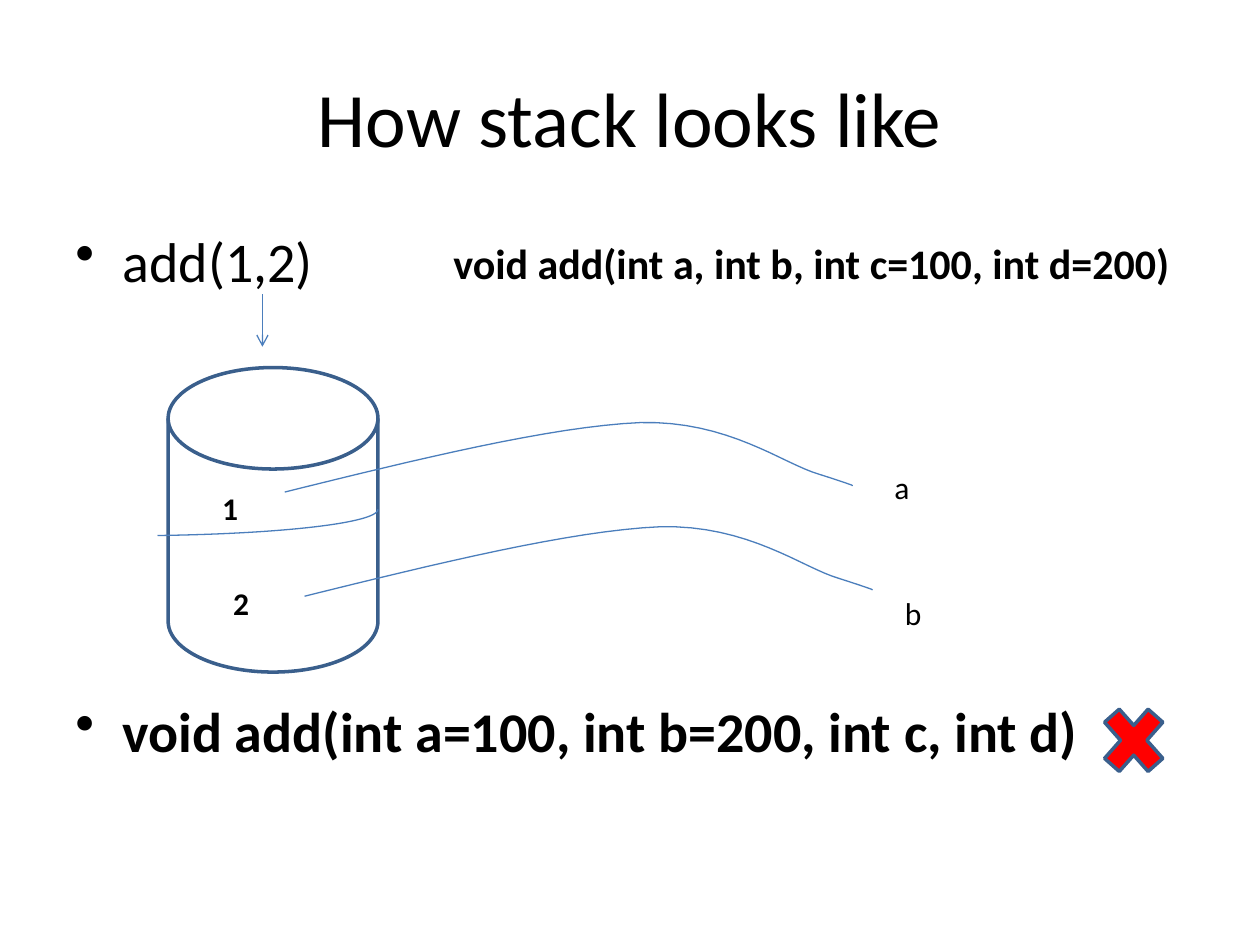
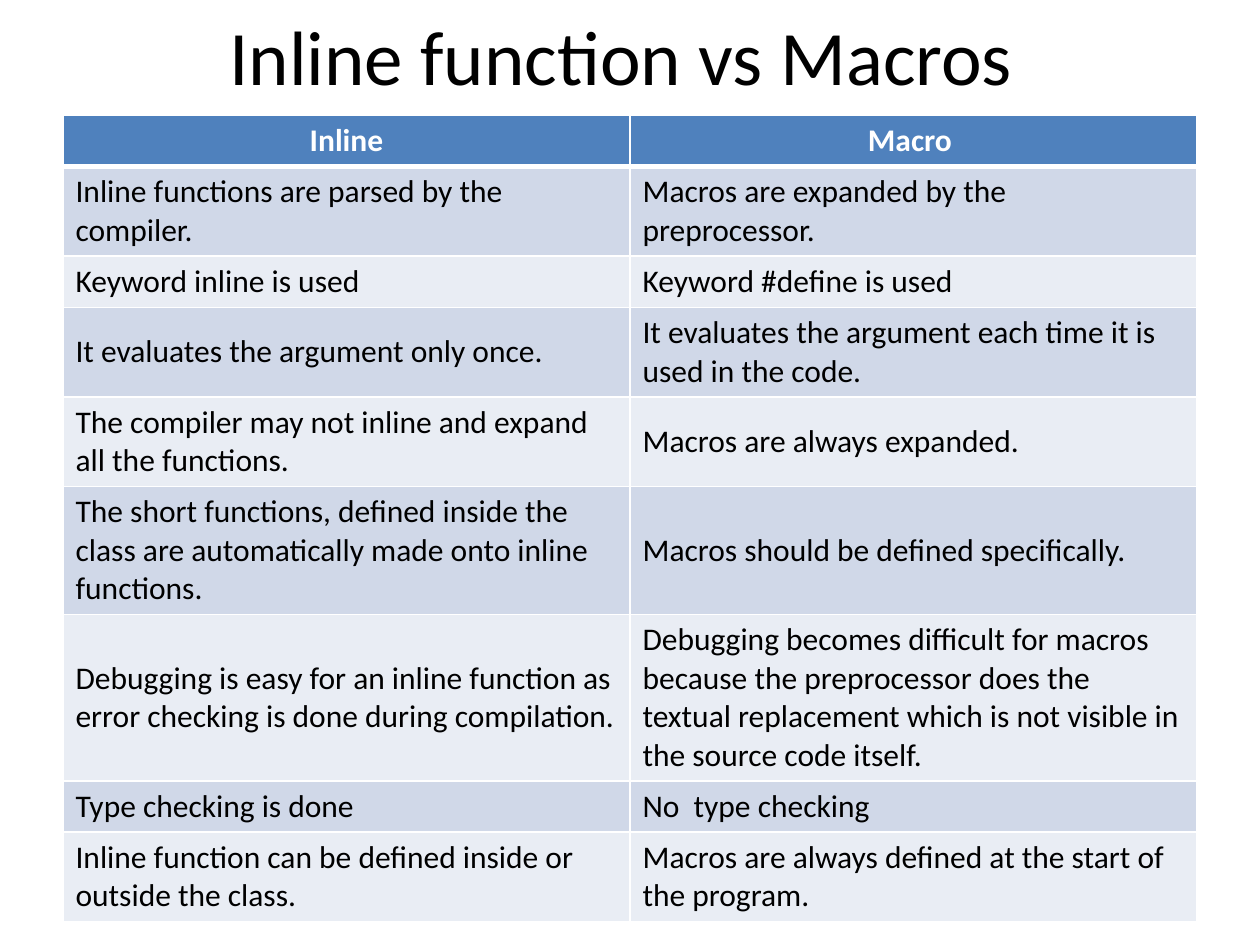
from typing import NamedTuple

from lxml.etree import SubElement
from pptx import Presentation
from pptx.dml.color import RGBColor
from pptx.enum.shapes import MSO_CONNECTOR as Connector, MSO_SHAPE as Preset
from pptx.enum.text import MSO_ANCHOR as Anchor, MSO_AUTO_SIZE as AutoSize, PP_ALIGN as Align
from pptx.oxml.ns import qn
from pptx.util import Cm, Pt

# Shared look
FONT = "Calibri"
BLACK = RGBColor(0x00, 0x00, 0x00)
WHITE = RGBColor(0xFF, 0xFF, 0xFF)
RED = RGBColor(0xFF, 0x00, 0x00)
OUTLINE_BLUE = RGBColor(0x3A, 0x5F, 0x8C)
THIN_BLUE = RGBColor(0x4B, 0x7E, 0xBC)
HEADER_BLUE = RGBColor(0x4F, 0x81, 0xBD)
BAND_COLORS = (RGBColor(0xD0, 0xD8, 0xE8), RGBColor(0xE9, 0xED, 0xF4))
TITLE_ONLY_LAYOUT = 5
THIN, THICK = 0.75, 2


class Box(NamedTuple):
    """Left, top, width and height in centimetres."""
    left: float
    top: float
    width: float
    height: float

    def lengths(self) -> list:
        return [Cm(value) for value in self]


class Label(NamedTuple):
    text: str
    box: Box
    size: int = 18
    bold: bool = False


class Figure(NamedTuple):
    preset: Preset
    box: Box
    line_color: RGBColor
    line_width: float
    fill: RGBColor | None = None
    adjustments: tuple = ()


# Stack slide content
LABELS = (
    Label("1", Box(4.23, 9.74, 1.7, 1.02), bold=True),
    Label("2", Box(4.45, 11.64, 1.9, 1.07), bold=True),
    Label("void add(int a, int b, int c=100, int d=200)",
          Box(8.89, 4.66, 15.88, 1.27), size=24, bold=True),
    Label("a", Box(17.78, 9.31, 6.77, 1.02)),
    Label("b", Box(17.99, 11.85, 1.7, 1.02)),
)
FIGURES = (
    Figure(Preset.FLOWCHART_MAGNETIC_DISK, Box(3.39, 7.41, 4.23, 6.14), OUTLINE_BLUE, THICK),
    Figure(Preset.ARC, Box(-2.54, 9.74, 10.16, 1.06), THIN_BLUE, THIN,
           adjustments=(0, 23.75)),
    Figure(Preset.MATH_MULTIPLY, Box(22.01, 13.97, 1.69, 1.91), OUTLINE_BLUE, THICK, fill=RED),
)
CURVE_STARTS = ((5.74, 9.92), (6.14, 12.02))
# Bezier segments relative to the start of a curve
CURVE_SEGMENTS = (
    ((0, 0), (2.67, -0.66), (5.36, -1.32), (7.16, -1.4)),
    ((7.16, -1.4), (8.94, -1.45), (10.06, -0.56), (10.77, -0.36)),
    ((10.77, -0.36), (11.48, -0.13), (11.46, -0.13), (11.43, -0.13)),
)
CURVE_STEPS = 16

# Comparison table content
TABLE_ROWS = (
    ("Inline", "Macro "),
    ("Inline functions are parsed by the compiler.", "Macros are expanded by the preprocessor."),
    ("Keyword inline is used", "Keyword #define is used"),
    ("It evaluates the argument only once.",
     "It evaluates the argument each time it is used in the code."),
    ("The compiler may not inline and expand all the functions.", "Macros are always expanded."),
    ("The short functions, defined inside the class are automatically made onto inline functions.",
     "Macros should be defined specifically."),
    ("Debugging is easy for an inline function as error checking is done during compilation.",
     "Debugging becomes difficult for macros because the preprocessor does the textual "
     "replacement which is not visible in the source code itself."),
    ("Type checking is done", "No  type checking"),
    ("Inline function can be defined inside or outside the class.",
     "Macros are always defined at the start of the program."),
)
MIDDLE_ROWS = range(3, 7)
TABLE_BOX = Box(1.27, 2.33, 22.86, 16.05)
ROW_HEIGHT = 1.03


def write(paragraph, text: str, *, size: float = 18, color: RGBColor = BLACK,
          bold: bool = False, align: Align = Align.LEFT, space_before: float = 0) -> None:
    paragraph.alignment = align
    paragraph.space_before = Pt(space_before)
    run = paragraph.add_run()
    run.text = text
    run.font.name = FONT
    run.font.size = Pt(size)
    run.font.bold = bold
    run.font.color.rgb = color


def add_titled_slide(presentation, title: str, box: Box):
    slide = presentation.slides.add_slide(presentation.slide_layouts[TITLE_ONLY_LAYOUT])
    placeholder = slide.shapes.title
    placeholder.left, placeholder.top, placeholder.width, placeholder.height = box.lengths()
    placeholder.text_frame.vertical_anchor = Anchor.MIDDLE
    write(placeholder.text_frame.paragraphs[0], title, size=44, align=Align.CENTER)
    return slide


def add_text_frame(slide, box: Box):
    text_frame = slide.shapes.add_textbox(*box.lengths()).text_frame
    text_frame.word_wrap = True
    return text_frame


def add_label(slide, label: Label) -> None:
    text_frame = add_text_frame(slide, label.box)
    text_frame.auto_size = AutoSize.SHAPE_TO_FIT_TEXT
    write(text_frame.paragraphs[0], label.text, size=label.size, bold=label.bold)


def set_bullet(paragraph) -> None:
    properties = paragraph._p.get_or_add_pPr()
    indent = Cm(0.95)
    properties.set("marL", str(indent))
    properties.set("indent", str(-indent))
    SubElement(properties, qn("a:buChar")).set("char", "•")


def style_line(line, color: RGBColor, width: float) -> None:
    line.color.rgb = color
    line.width = Pt(width)


def add_figure(slide, figure: Figure) -> None:
    shape = slide.shapes.add_shape(figure.preset, *figure.box.lengths())
    shape.shadow.inherit = False
    for index, value in enumerate(figure.adjustments):
        shape.adjustments[index] = value
    if figure.fill is None:
        shape.fill.background()
    else:
        shape.fill.solid()
        shape.fill.fore_color.rgb = figure.fill
    style_line(shape.line, figure.line_color, figure.line_width)


def bezier_point(segment: tuple, t: float) -> tuple:
    weights = ((1 - t) ** 3, 3 * t * (1 - t) ** 2, 3 * t ** 2 * (1 - t), t ** 3)
    return tuple(sum(weight * point[axis] for weight, point in zip(weights, segment))
                 for axis in (0, 1))


def add_curve(slide, left: float, top: float) -> None:
    points = [bezier_point(segment, step / CURVE_STEPS)
              for segment in CURVE_SEGMENTS for step in range(1, CURVE_STEPS + 1)]
    builder = slide.shapes.build_freeform(Cm(left), Cm(top))
    builder.add_line_segments([(Cm(left + x), Cm(top + y)) for x, y in points], close=False)
    shape = builder.convert_to_shape()
    shape.shadow.inherit = False
    shape.fill.background()
    style_line(shape.line, THIN_BLUE, THIN)


def add_arrow(slide, start: tuple, end: tuple) -> None:
    arrow = slide.shapes.add_connector(
        Connector.STRAIGHT, *[Cm(value) for value in start + end])
    style_line(arrow.line, THIN_BLUE, THIN)
    properties = arrow._element.spPr
    SubElement(properties.find(qn("a:ln")), qn("a:tailEnd")).set("type", "arrow")
    SubElement(properties, qn("a:effectLst"))


def set_borders(cell, top: float = 1, bottom: float = 1) -> None:
    properties = cell._tc.get_or_add_tcPr()
    for side, width in (("L", 1), ("R", 1), ("T", top), ("B", bottom)):
        line = SubElement(properties, qn(f"a:ln{side}"))
        line.set("w", str(Pt(width)))
        fill = SubElement(line, qn("a:solidFill"))
        SubElement(fill, qn("a:srgbClr")).set("val", str(WHITE))


def add_comparison_table(slide) -> None:
    frame = slide.shapes.add_table(len(TABLE_ROWS), 2, *TABLE_BOX.lengths())
    for row_index, texts in enumerate(TABLE_ROWS):
        frame.table.rows[row_index].height = Cm(ROW_HEIGHT)
        is_header = row_index == 0
        for column_index, text in enumerate(texts):
            cell = frame.table.cell(row_index, column_index)
            set_borders(cell, top=3 if row_index == 1 else 1, bottom=3 if is_header else 1)
            cell.fill.solid()
            cell.fill.fore_color.rgb = (
                HEADER_BLUE if is_header else BAND_COLORS[(row_index - 1) % 2])
            cell.vertical_anchor = Anchor.MIDDLE if row_index in MIDDLE_ROWS else Anchor.TOP
            write(cell.text_frame.paragraphs[0], text, bold=is_header,
                  color=WHITE if is_header else BLACK,
                  align=Align.CENTER if is_header else Align.LEFT)
    frame.height = Cm(TABLE_BOX.height)


def build_stack_slide(presentation) -> None:
    slide = add_titled_slide(presentation, "How stack looks like", Box(1.27, 0.76, 22.86, 3.18))

    # Bulleted calls above and below the stack
    body = add_text_frame(slide, Box(1.27, 4.45, 22.86, 12.57))
    call, wrong_declaration = body.paragraphs[0], body.add_paragraph()
    write(call, "add(1,2)", size=32)
    write(wrong_declaration, "void add(int a=100, int b=200, int c, int d)",
          size=32, bold=True, space_before=230)
    for paragraph in body.paragraphs:
        set_bullet(paragraph)

    # Stack drawing with its arguments
    for figure in FIGURES:
        add_figure(slide, figure)
    for label in LABELS:
        add_label(slide, label)
    for start in CURVE_STARTS:
        add_curve(slide, *start)
    add_arrow(slide, (5.29, 5.93), (5.29, 6.99))


def build_comparison_slide(presentation) -> None:
    slide = add_titled_slide(presentation, "Inline function vs Macros ", Box(1.27, 0, 22.86, 2.2))
    add_comparison_table(slide)


def main() -> None:
    presentation = Presentation()
    presentation.slide_width, presentation.slide_height = Cm(25.4), Cm(19.05)
    build_stack_slide(presentation)
    build_comparison_slide(presentation)
    presentation.save("out.pptx")


if __name__ == "__main__":
    main()
